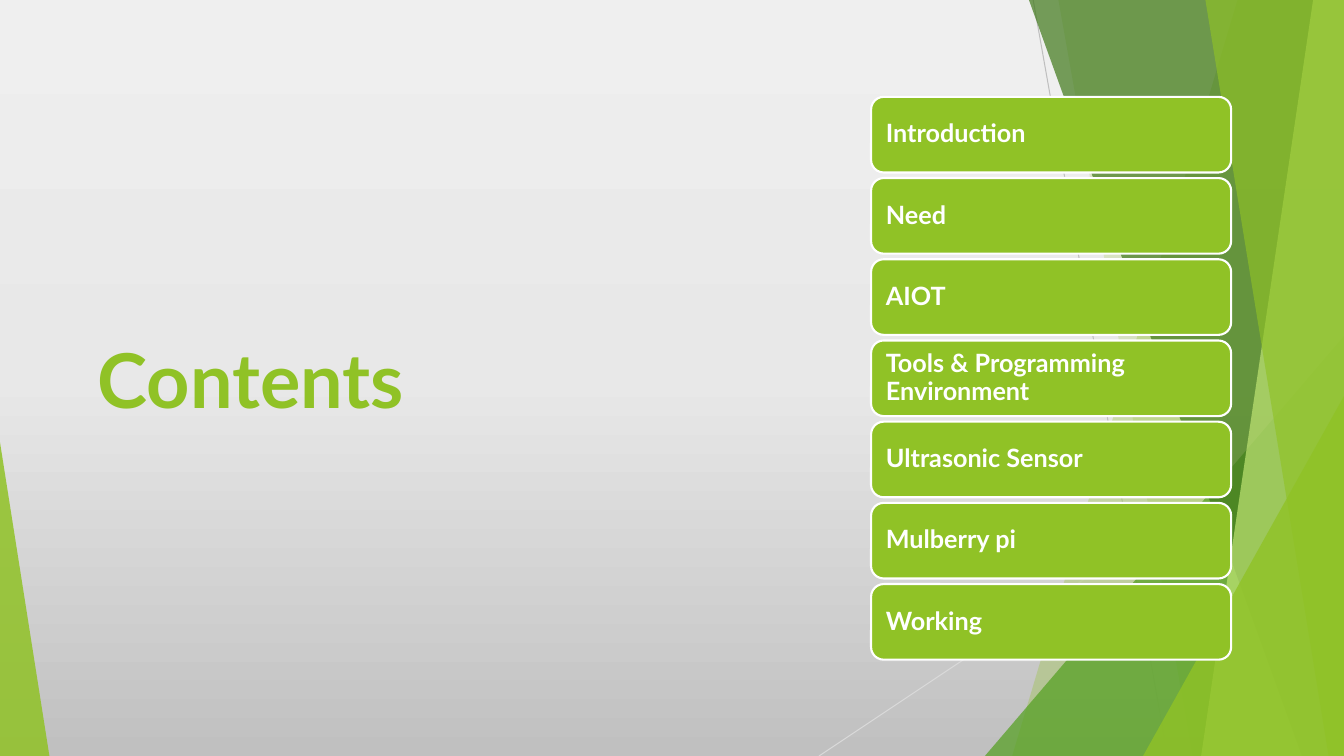
from copy import deepcopy
from pptx import Presentation
from pptx.dml.color import RGBColor
from pptx.enum.shapes import MSO_CONNECTOR as Link, MSO_SHAPE as Shape
from pptx.enum.text import MSO_ANCHOR as Anchor, MSO_AUTO_SIZE as Fit, PP_ALIGN as Align
from pptx.oxml.ns import qn
from pptx.oxml.xmlchemy import OxmlElement
from pptx.util import Pt

WIDE, HIGH = 960, 540
GREEN, WHITE, FONT = "90C226", "FFFFFF", "Lato"
TITLE = "Contents"
TOPICS = ["Introduction", "Need", "AIOT", "Tools & Programming Environment",
          "Ultrasonic Sensor", "Mulberry pi", "Working"]
BACK = [(0, "EFEFEF"), (0.5, "E8E8E8"), (1, "C0C0C0")]
RULES = [((738, 0, 834, HIGH), "BFBFBF"), ((WIDE, 290, 585, HIGH), "D9D9D9")]
# Bands give top and bottom x of their left edge; triangles give
# left, width, height and apex position. Both end with colour and opacity.
DECOR = [
    ("band", (884, 723), GREEN, 30),
    ("band", (756, 852), GREEN, 20),
    ("triangle", (703.5, 256.5, 300, 1), "54A021", 72),
    ("band", (735, 930), "3F7819", 70),
    ("band", (938, 858), "C0E474", 70),
    ("band", (861, 949), GREEN, 65),
    ("triangle", (816.5, 143.5, 257, 1), GREEN, 80),
    ("triangle", (0, 35.3, 224, 0), GREEN, 85),
]
CARD_X, CARD_Y, CARD_W, CARD_H, STEP = 622.2, 69.2, 257.2, 54, 58


def tint(code):
    return RGBColor.from_string(code)


def paint(shape, color, alpha=100):
    shape.shadow.inherit = False
    shape.fill.solid()
    shape.fill.fore_color.rgb = tint(color)
    shape.line.fill.background()
    if alpha < 100:
        node = OxmlElement("a:alpha")
        node.set("val", str(alpha * 1000))
        shape._element.spPr.find(".//" + qn("a:srgbClr")).append(node)


def write(shape, text, size, color, inset=(7.2, 3.6), lines=None, after=None):
    frame = shape.text_frame
    frame.text = text
    frame.word_wrap = True
    frame.auto_size = Fit.NONE
    frame.vertical_anchor = Anchor.MIDDLE
    frame.margin_left = frame.margin_right = Pt(inset[0])
    frame.margin_top = frame.margin_bottom = Pt(inset[1])
    para = frame.paragraphs[0]
    para.alignment = Align.LEFT
    if lines:
        para.line_spacing = lines
    if after:
        para.space_after = Pt(after)
    font = para.runs[0].font
    font.name, font.size, font.bold = FONT, Pt(size), True
    font.color.rgb = tint(color)


def fill_back(slide):
    fill = slide.background.fill
    fill.gradient()
    fill.gradient_angle = 270
    last = fill.gradient_stops[1]._gs
    last.addnext(deepcopy(last))
    for stop, (place, color) in zip(fill.gradient_stops, BACK):
        stop.position = place
        stop.color.rgb = tint(color)


def draw_rule(shapes, ends, color):
    rule = shapes.add_connector(Link.STRAIGHT, *map(Pt, ends))
    rule.line.color.rgb = tint(color)
    rule.line.width = Pt(0.75)
    rule._element.spPr.append(OxmlElement("a:effectLst"))


def draw_band(shapes, top, base):
    pen = shapes.build_freeform(Pt(top), 0)
    edge = [(WIDE, 0), (WIDE, HIGH), (base, HIGH)]
    pen.add_line_segments([(Pt(x), Pt(y)) for x, y in edge], close=True)
    return pen.convert_to_shape()


def draw_triangle(shapes, left, width, height, apex):
    shape = shapes.add_shape(Shape.ISOSCELES_TRIANGLE, Pt(left), Pt(HIGH - height),
                             Pt(width), Pt(height))
    shape.adjustments[0] = apex
    return shape


def main():
    deck = Presentation()
    deck.slide_width, deck.slide_height = Pt(WIDE), Pt(HIGH)
    slide = deck.slides.add_slide(deck.slide_layouts[5])
    shapes = slide.shapes
    fill_back(slide)

    for ends, color in RULES:
        draw_rule(shapes, ends, color)
    draw = {"band": draw_band, "triangle": draw_triangle}
    for kind, spots, color, alpha in DECOR:
        paint(draw[kind](shapes, *spots), color, alpha)

    title = shapes.title
    title.left, title.top, title.width, title.height = map(Pt, (62.6, 64.8, 480, 411))
    write(title, TITLE, 54, GREEN)

    for row, topic in enumerate(TOPICS):
        card = shapes.add_shape(Shape.ROUNDED_RECTANGLE, Pt(CARD_X), Pt(CARD_Y + row * STEP),
                                Pt(CARD_W), Pt(CARD_H))
        paint(card, GREEN)
        card.line.color.rgb = tint(WHITE)
        card.line.width = Pt(1.5)
        write(card, topic, 18, WHITE, inset=(8, 5), lines=0.9, after=6.3)

    deck.save("out.pptx")


if __name__ == "__main__":
    main()
